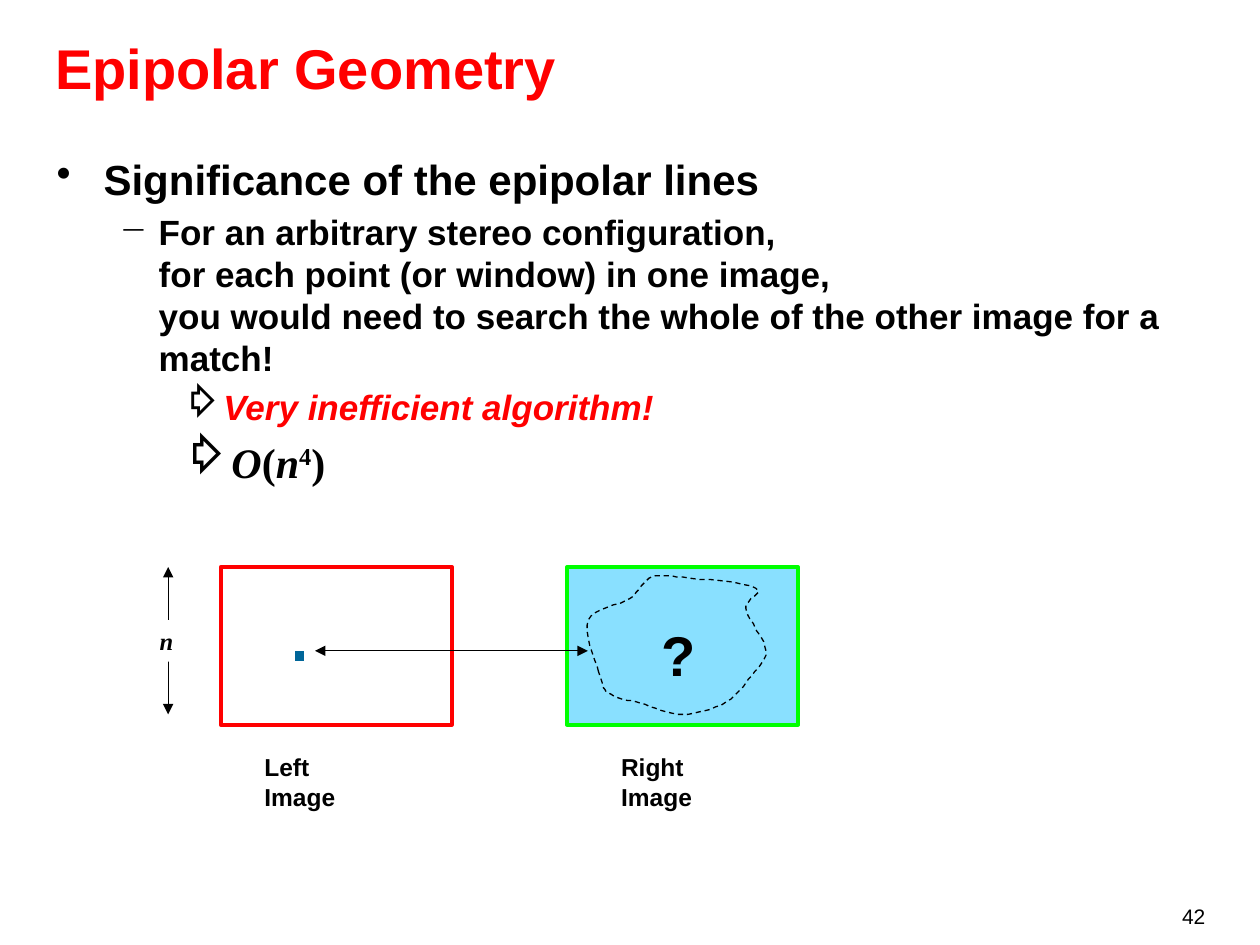
import pptx
import pptx.util
import pptx.dml.color
import pptx.enum.dml
import pptx.enum.shapes
import pptx.enum.text
import pptx.oxml.ns
import lxml.etree

Cm, Pt = pptx.util.Cm, pptx.util.Pt
SHAPE = pptx.enum.shapes.MSO_SHAPE
ANCHOR = pptx.enum.text.MSO_ANCHOR
ALIGN = pptx.enum.text.PP_ALIGN
BLACK, WHITE, RED = "000000", "FFFFFF", "FF0000"
SERIF = "Times New Roman"

REGION_START = (475, 533)
REGION_CURVES = [
    [(472, 524), (462, 501), (467, 492)],
    [(471, 482), (492, 481), (500, 475)],
    [(508, 469), (510, 461), (517, 458)],
    [(524, 456), (528, 457), (542, 458)],
    [(556, 460), (592, 462), (600, 467)],
    [(608, 471), (590, 475), (592, 483)],
    [(593, 492), (608, 507), (608, 517)],
    [(608, 526), (597, 535), (592, 542)],
    [(586, 549), (583, 554), (575, 558)],
    [(567, 562), (553, 567), (542, 567)],
    [(531, 567), (518, 561), (508, 558)],
    [(499, 556), (489, 554), (483, 550)],
    [(478, 546), (478, 543), (475, 533)],
]


def rgb(color):
    return pptx.dml.color.RGBColor.from_string(color)


def add_element(parent, tag, **attrs):
    el = lxml.etree.SubElement(parent, pptx.oxml.ns.qn(tag))
    for name, value in attrs.items():
        el.set(name, value)
    return el


def add_run(p, text, size, color=BLACK, bold=True, italic=False, font="Arial", base=0):
    for i, line in enumerate(text.split("\n")):
        if i:
            p.add_line_break()
        r = p.add_run()
        r.text = line
        r.font.name, r.font.size = font, Pt(size)
        r.font.bold, r.font.italic = bold, italic
        r.font.color.rgb = rgb(color)
        if base:
            r.font._element.set("baseline", str(base * 1000))


def add_text(shapes, x, y, w, h, anchor=ANCHOR.TOP):
    sp = shapes.add_textbox(Cm(x), Cm(y), Cm(w), Cm(h))
    tf = sp.text_frame
    tf.word_wrap = True
    tf.vertical_anchor = anchor
    return tf


def add_label(shapes, x, w, text):
    tf = add_text(shapes, x, 15.04, w, 0.84)
    tf.margin_right = Cm(1)
    add_run(tf.paragraphs[0], text, 14)


def add_bullet(p, level, left, hang, char, size):
    p.level = level
    p.space_before = Pt(size * 0.2)
    ppr = p._p.get_or_add_pPr()
    ppr.set("marL", str(Cm(left)))
    ppr.set("indent", str(-Cm(hang)))
    add_element(add_element(ppr, "a:buClr"), "a:srgbClr", val=BLACK)
    add_element(ppr, "a:buChar", char=char)


def style(sp, fill=None, line=None, width=0.75):
    sp.shadow.inherit = False
    if fill:
        sp.fill.solid()
        sp.fill.fore_color.rgb = rgb(fill)
    else:
        sp.fill.background()
    if line:
        sp.line.color.rgb = rgb(line)
        sp.line.width = Pt(width)
    else:
        sp.line.fill.background()


def add_box(shapes, x, y, w, h, fill=None, line=None, width=0.75, kind=SHAPE.RECTANGLE):
    sp = shapes.add_shape(kind, Cm(x), Cm(y), Cm(w), Cm(h))
    style(sp, fill, line, width)
    return sp


def add_box_text(sp, text, size, wrap, **font):
    tf = sp.text_frame
    tf.word_wrap = wrap
    tf.vertical_anchor = ANCHOR.TOP
    tf.paragraphs[0].alignment = ALIGN.LEFT
    add_run(tf.paragraphs[0], text, size, **font)
    return tf


def add_double_arrow(shapes, x1, y1, x2, y2):
    kind = pptx.enum.shapes.MSO_CONNECTOR.STRAIGHT
    cxn = shapes.add_connector(kind, Cm(x1), Cm(y1), Cm(x2), Cm(y2))
    cxn.line.color.rgb = rgb(BLACK)
    cxn.line.width = Pt(0.75)
    ln = cxn.line._get_or_add_ln()
    for end in ("a:headEnd", "a:tailEnd"):
        add_element(ln, end, type="triangle")
    add_element(cxn._element.spPr, "a:effectLst")


def curve_points(start, curves, steps=8):
    points = []
    for c1, c2, end in curves:
        for t in (i / steps for i in range(1, steps + 1)):
            u = 1 - t
            points.append(tuple(
                u**3 * a + 3 * u * u * t * b + 3 * u * t * t * c + t**3 * d
                for a, b, c, d in zip(start, c1, c2, end)))
        start = end
    return points


def add_search_region(shapes):
    fb = shapes.build_freeform(*REGION_START, scale=Cm(0.0254))
    fb.add_line_segments(curve_points(REGION_START, REGION_CURVES), close=True)
    sp = fb.convert_to_shape()
    style(sp, line=BLACK)
    sp.line.dash_style = pptx.enum.dml.MSO_LINE.DASH


def add_body(shapes):
    statement = ("For an arbitrary stereo configuration,\n"
                 "for each point (or window) in one image,\n"
                 "you would need to search the whole of the other image for a match!")
    math_font = {"font": SERIF, "italic": True}
    items = [
        (0, 0.95, 0.95, "•", 24, [("Significance of the epipolar lines", {})]),
        (1, 2.06, 0.79, "−", 20, [(statement, {})]),
        (2, 3.18, 0.64, "⇨", 20,
         [("Very inefficient algorithm!", {"color": RED, "italic": True})]),
        (2, 3.18, 0.64, "⇨", 24,
         [("O", math_font), ("(", {"font": SERIF}), ("n", math_font),
          ("4", {"font": SERIF, "base": 30}), (")", {"font": SERIF})]),
    ]
    tf = add_text(shapes, 0.89, 2.97, 23.65, 14.6)
    for i, (level, left, hang, char, size, runs) in enumerate(items):
        p = tf.add_paragraph() if i else tf.paragraphs[0]
        add_bullet(p, level, left, hang, char, size)
        for text, font in runs:
            add_run(p, text, size, **font)


def main():
    prs = pptx.Presentation()
    prs.slide_width, prs.slide_height = Cm(25.4), Cm(19.05)
    s = prs.slides.add_slide(prs.slide_layouts[6])
    shapes = s.shapes

    number = add_text(shapes, 19.89, 17.57, 4.66, 1.27, ANCHOR.BOTTOM).paragraphs[0]
    number.alignment = ALIGN.RIGHT
    add_run(number, "42", 12, bold=False)

    add_box(shapes, 11.43, 11.43, 4.66, 3.18, "89E0FF", "00FF00", 2.25)
    add_search_region(shapes)

    title = add_text(shapes, 0.86, 0.56, 23.67, 1.6, ANCHOR.BOTTOM)
    add_run(title.paragraphs[0], "Epipolar Geometry", 32, RED)
    add_body(shapes)

    add_box(shapes, 4.45, 11.43, 4.66, 3.18, WHITE, RED, 2.25)
    add_label(shapes, 5.08, 2.97, "Left Image")
    add_label(shapes, 12.27, 3.33, "Right Image")
    add_box(shapes, 5.93, 13.12, 0.21, 0.21, "006699", WHITE)
    add_double_arrow(shapes, 6.35, 13.12, 11.85, 13.12)

    seal = add_box(shapes, 12.5, 11.28, 2.34, 3.33, kind=SHAPE.EXPLOSION2)
    add_box_text(seal, "?", 32, True).margin_top = Cm(0.25)

    group = shapes.add_group_shape()
    add_double_arrow(group.shapes, 3.39, 11.43, 3.39, 14.4)
    size_box = add_box(group.shapes, 2.97, 12.5, 0.79, 0.84, WHITE)
    add_box_text(size_box, "n", 14, False, font=SERIF, italic=True)

    prs.save("out.pptx")


if __name__ == "__main__":
    main()
